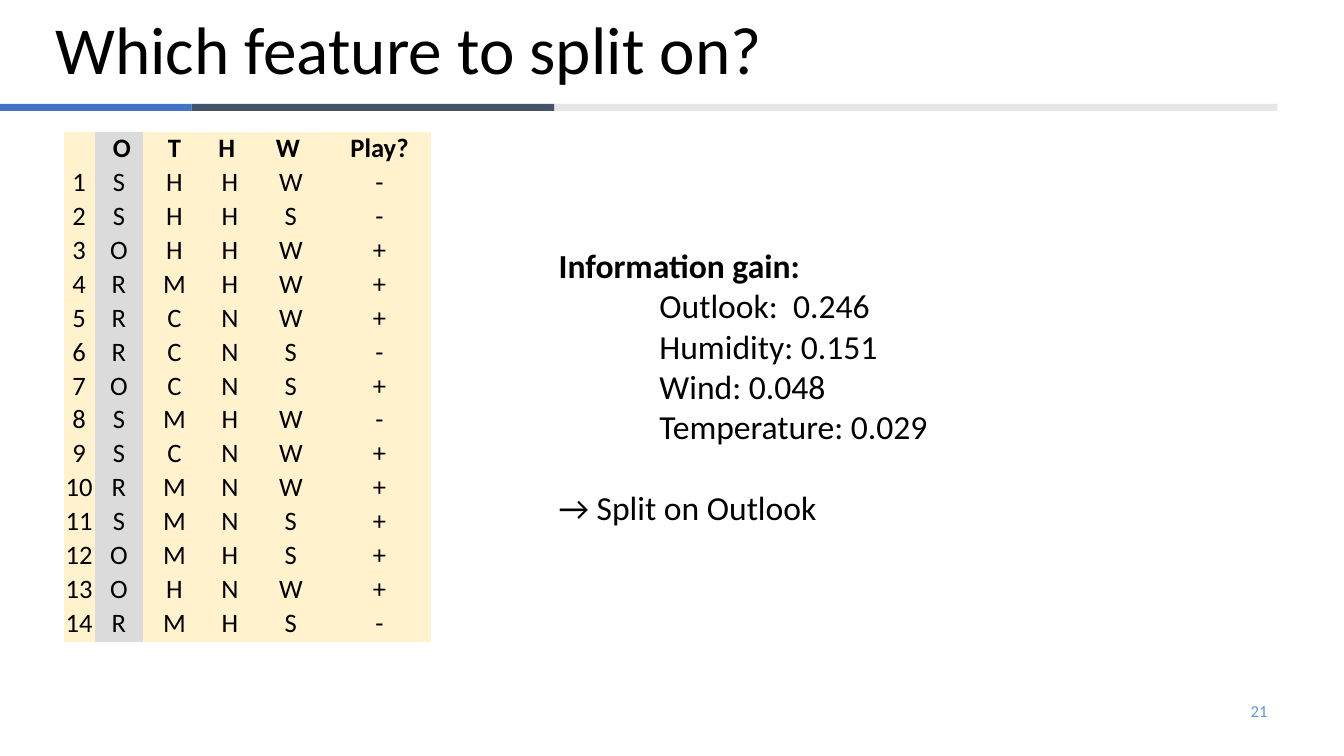
import pptx
import pptx.dml.color
import pptx.enum.shapes
import pptx.enum.text
import pptx.oxml.ns
import pptx.util
from pptx.dml.color import RGBColor
from pptx.util import Inches

BLACK = RGBColor(0x00, 0x00, 0x00)
BLUE = RGBColor(0x44, 0x72, 0xC4)
SLATE = RGBColor(0x44, 0x54, 0x6A)
PALE_GREY = RGBColor(0xE7, 0xE6, 0xE6)
NUMBER_BLUE = RGBColor(0x5B, 0x9B, 0xD5)
CREAM = RGBColor(0xFF, 0xF2, 0xCC)
HIGHLIGHT_GREY = RGBColor(0xDB, 0xDB, 0xDB)

FONT = "Calibri"
PLAIN_TABLE_STYLE = "{2D5ABB26-0587-4C30-8999-92F81FD0307C}"
ALIGN = pptx.enum.text.PP_ALIGN
ANCHOR = pptx.enum.text.MSO_ANCHOR

HEADER = ["", " O", "T", "H ", "W ", "Play?"]
EXAMPLES = ["SHHW-", "SHHS-", "OHHW+", "RMHW+", "RCNW+", "RCNS-", "OCNS+",
            "SMHW-", "SCNW+", "RMNW+", "SMNS+", "OMHS+", "OHNW+", "RMHS-"]
COLUMN_WIDTHS = [0.31, 0.48, 0.62, 0.48, 0.73, 1.03]
OUTLOOK_COLUMN = 1
GAINS = ["Outlook:  0.246", "Humidity: 0.151", "Wind: 0.048", "Temperature: 0.029"]


def place(shape, left, top, width, height):
    shape.left, shape.top = Inches(left), Inches(top)
    shape.width, shape.height = Inches(width), Inches(height)


def format_runs(para, size, color=BLACK, bold=False):
    for span in para.runs:
        span.font.name = FONT
        span.font.size = pptx.util.Pt(size)
        span.font.bold = bold
        span.font.color.rgb = color


def clear_margins(holder):
    holder.margin_left = holder.margin_right = 0
    holder.margin_top = holder.margin_bottom = 0


def add_title(page, left, top, width, height):
    title = page.shapes.title
    place(title, left, top, width, height)
    frame = title.text_frame
    frame.text = "Which feature to split on?"
    frame.auto_size = pptx.enum.text.MSO_AUTO_SIZE.NONE
    frame.vertical_anchor = ANCHOR.MIDDLE
    para = frame.paragraphs[0]
    para.alignment = ALIGN.LEFT
    para.line_spacing = 0.9
    format_runs(para, 48)


def add_divider(page, left, top, height):
    for width, color in [(1.91, BLUE), (3.6, SLATE), (7.17, PALE_GREY)]:
        bar = page.shapes.add_shape(
            pptx.enum.shapes.MSO_SHAPE.RECTANGLE,
            Inches(left), Inches(top), Inches(width), Inches(height))
        bar.shadow.inherit = False
        bar.fill.solid()
        bar.fill.fore_color.rgb = color
        bar.line.fill.background()
        left += width


def add_examples_table(page, left, top, width, height):
    rows = [HEADER] + [[str(number), *values]
                       for number, values in enumerate(EXAMPLES, 1)]
    frame = page.shapes.add_table(len(rows), len(HEADER), Inches(left),
                                  Inches(top), Inches(width), Inches(height))
    for style in frame._element.iter(pptx.oxml.ns.qn("a:tableStyleId")):
        style.text = PLAIN_TABLE_STYLE
    table = frame.table
    table.horz_banding = False
    for column, column_width in zip(table.columns, COLUMN_WIDTHS):
        column.width = Inches(column_width)
    for row_index, row in enumerate(rows):
        for column_index, text in enumerate(row):
            cell = table.cell(row_index, column_index)
            clear_margins(cell)
            cell.fill.solid()
            cell.fill.fore_color.rgb = (
                HIGHLIGHT_GREY if column_index == OUTLOOK_COLUMN else CREAM)
            para = cell.text_frame.paragraphs[0]
            para.text = text
            para.alignment = ALIGN.CENTER
            format_runs(para, 19, bold=row_index == 0)


def add_information_gain(page, left, top, width, height):
    body = page.placeholders[1]
    place(body, left, top, width, height)
    frame = body.text_frame
    clear_margins(frame)
    frame.auto_size = pptx.enum.text.MSO_AUTO_SIZE.NONE
    frame.vertical_anchor = ANCHOR.TOP
    heading, conclusion = "Information gain:", "→ Split on Outlook"
    frame.text = "\n".join([heading, *GAINS, conclusion])
    for para in frame.paragraphs:
        properties = para._p.get_or_add_pPr()
        properties.set("marL", str(Inches(1) if para.text in GAINS else 0))
        properties.set("indent", "0")
        properties.append(pptx.oxml.parse_xml(
            f'<a:buNone {pptx.oxml.ns.nsdecls("a")}/>'))
        para.space_before = pptx.util.Pt(29 if para.text == conclusion else 0)
        format_runs(para, 24, bold=para.text == heading)


def add_page_number(page, left, top, width, height):
    box = page.shapes.add_textbox(Inches(left), Inches(top),
                                  Inches(width), Inches(height))
    frame = box.text_frame
    frame.word_wrap = True
    frame.vertical_anchor = ANCHOR.MIDDLE
    frame.text = "21"
    frame.paragraphs[0].alignment = ALIGN.RIGHT
    format_runs(frame.paragraphs[0], 12, NUMBER_BLUE)


def main():
    deck = pptx.Presentation()
    deck.slide_width, deck.slide_height = Inches(13.33), Inches(7.5)
    page = deck.slides.add_slide(deck.slide_layouts[1])
    add_divider(page, -0.01, 1.03, 0.07)
    add_page_number(page, 9.56, 6.85, 3.11, 0.4)
    add_title(page, 0.45, 0.02, 12, 1.01)
    add_examples_table(page, 0.63, 1.31, 3.65, 5.06)
    add_information_gain(page, 5.54, 2.43, 5.57, 2.83)
    deck.save("out.pptx")


if __name__ == "__main__":
    main()
